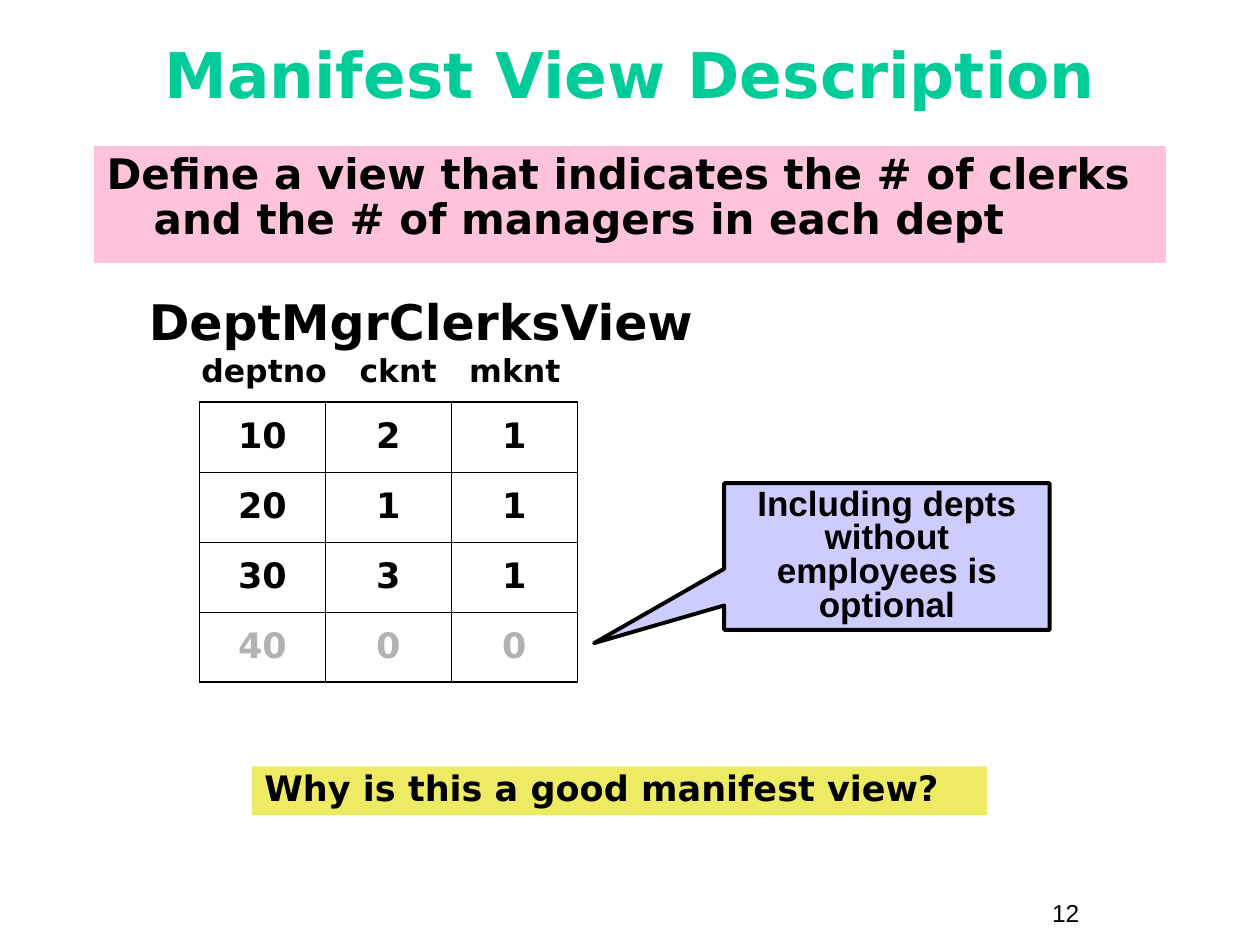
import pptx
import pptx.dml.color
import pptx.enum.shapes
import pptx.enum.text
import pptx.oxml
import pptx.oxml.ns
import pptx.util
from pptx.util import Cm, Pt

RGBColor = pptx.dml.color.RGBColor
ALIGN = pptx.enum.text.PP_ALIGN
ANCHOR = pptx.enum.text.MSO_ANCHOR
SHAPE = pptx.enum.shapes.MSO_SHAPE

BLACK = RGBColor(0x00, 0x00, 0x00)
GREEN = RGBColor(0x00, 0xCC, 0x99)
PINK = RGBColor(0xFF, 0xC3, 0xDB)
YELLOW = RGBColor(0xED, 0xEA, 0x63)
LAVENDER = RGBColor(0xCC, 0xCC, 0xFF)
GREY = RGBColor(0xB2, 0xB2, 0xB2)
HEADING_FONT, PLAIN_FONT = "DejaVu Sans", "Arial"

TITLE = "Manifest View Description"
TASK = "Define a view that indicates the # of clerks and the # of managers in each dept"
VIEW_NAME = "DeptMgrClerksView"
COLUMNS = ["deptno", "cknt", "mknt"]
COLUMN_TABS = [3.19, 5.4]
ROWS = [(10, 2, 1), (20, 1, 1), (30, 3, 1), (40, 0, 0)]
OPTIONAL_DEPT = 40
NOTE = "Including depts without employees is optional"
QUESTION = "Why is this a good manifest view?"
PAGE = "12"

COL_W, ROW_H = 2.54, 1.41
OUTER, INNER = 1.08, 0.45
HANGING = 0.95


def write(tf, text, size, color=BLACK, font=HEADING_FONT, bold=True,
          align=ALIGN.LEFT, spacing=1.0, hanging=0, tabs=()):
    tf.word_wrap = True
    p = tf.paragraphs[0]
    p.alignment, p.line_spacing, p.space_before = align, spacing, Pt(0)
    pPr = p._p.get_or_add_pPr()
    if hanging:
        pPr.set("marL", str(Cm(hanging)))
        pPr.set("indent", str(-Cm(hanging)))
    if tabs:
        stops = "".join(f'<a:tab pos="{Cm(t)}" algn="l"/>' for t in tabs)
        pPr.append(pptx.oxml.parse_xml(
            f'<a:tabLst {pptx.oxml.ns.nsdecls("a")}>{stops}</a:tabLst>'))
    r = p.add_run()
    r.text = text
    r.font.name, r.font.size, r.font.bold = font, Pt(size), bold
    r.font.color.rgb = color


def add_text(s, box, text, size, anchor=ANCHOR.TOP, **style):
    sp = s.shapes.add_textbox(*map(Cm, box))
    sp.text_frame.vertical_anchor = anchor
    write(sp.text_frame, text, size, **style)


def add_panel(s, kind, box, fill, text, size, line=None, line_width=0.75, **style):
    sp = s.shapes.add_shape(kind, *map(Cm, box))
    sp.shadow.inherit = False
    sp.fill.solid()
    sp.fill.fore_color.rgb = fill
    if line is None:
        sp.line.fill.background()
    else:
        sp.line.color.rgb = line
        sp.line.width = Pt(line_width)
    sp.text_frame.vertical_anchor = ANCHOR.TOP
    write(sp.text_frame, text, size, **style)
    return sp


def set_borders(cell, widths):
    """Widths are in points, in the order left, right, top, bottom."""
    tcPr = cell._tc.get_or_add_tcPr()
    for i, (side, width) in enumerate(zip("LRTB", widths)):
        tcPr.insert(i, pptx.oxml.parse_xml(
            f'<a:ln{side} {pptx.oxml.ns.nsdecls("a")} w="{Pt(width)}">'
            f'<a:solidFill><a:srgbClr val="{BLACK}"/></a:solidFill></a:ln{side}>'))


def add_view_table(s, left, top):
    n_rows, n_cols = len(ROWS), len(COLUMNS)
    table = s.shapes.add_table(n_rows, n_cols, Cm(left), Cm(top),
                               Cm(COL_W * n_cols), Cm(ROW_H * n_rows)).table
    table.first_row = table.horz_banding = False
    for i, row in enumerate(ROWS):
        table.rows[i].height = Cm(ROW_H)
        color = GREY if row[0] == OPTIONAL_DEPT else BLACK
        for j, value in enumerate(row):
            cell = table.cell(i, j)
            cell.fill.background()
            cell.vertical_anchor = ANCHOR.MIDDLE
            write(cell.text_frame, str(value), 20, color, align=ALIGN.CENTER, spacing=0.9)
            edges = (j == 0, j == n_cols - 1, i == 0, i == n_rows - 1)
            set_borders(cell, [OUTER if edge else INNER for edge in edges])


def main():
    prs = pptx.Presentation()
    prs.slide_width, prs.slide_height = Cm(25.4), Cm(19.05)
    s = prs.slides.add_slide(prs.slide_layouts[6])

    add_text(s, (20.96, 17.98, 2.34, 0.86), PAGE, 14, font=PLAIN_FONT, bold=False)
    add_text(s, (0.85, 0.42, 23.7, 2.12), TITLE, 36, ANCHOR.MIDDLE,
             color=GREEN, align=ALIGN.CENTER)
    add_panel(s, SHAPE.RECTANGLE, (1.9, 2.96, 21.6, 2.33), PINK, TASK, 24,
              line=PINK, spacing=0.9, hanging=HANGING)
    add_view_table(s, 4.02, 8.11)
    add_text(s, (3.81, 7.06, 8.26, 0.91), "\t".join(COLUMNS), 18,
             spacing=0.85, tabs=COLUMN_TABS)
    add_text(s, (2.75, 5.94, 11.64, 1.27), VIEW_NAME, 28, spacing=0.85, hanging=HANGING)
    add_panel(s, SHAPE.RECTANGLE, (5.08, 15.45, 14.82, 0.99), YELLOW, QUESTION, 20,
              spacing=0.85, hanging=HANGING)
    callout = add_panel(s, SHAPE.RECTANGULAR_CALLOUT, (14.6, 9.74, 6.56, 2.96), LAVENDER,
                        NOTE, 20, line=BLACK, line_width=2.25, font=PLAIN_FONT,
                        align=ALIGN.CENTER, spacing=0.8)
    callout.adjustments[0], callout.adjustments[1] = -0.9, 0.59

    prs.save("out.pptx")


if __name__ == "__main__":
    main()
